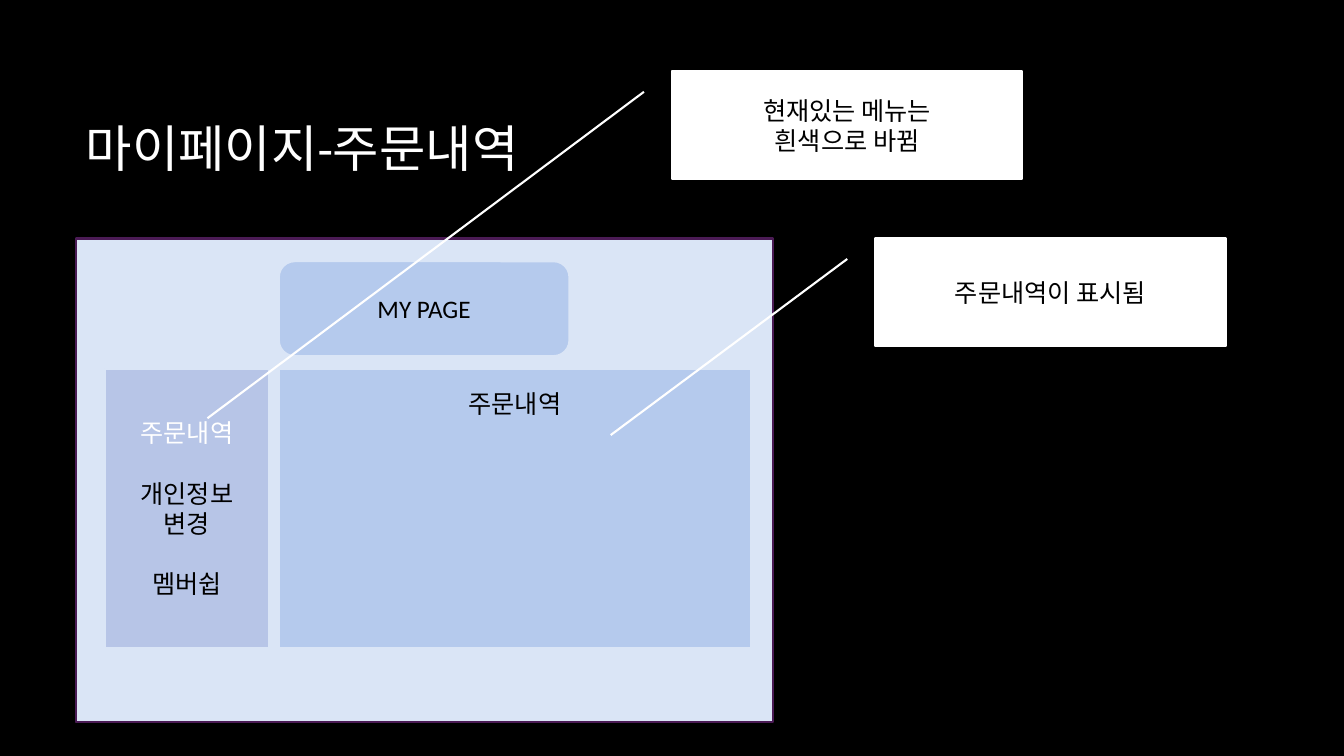
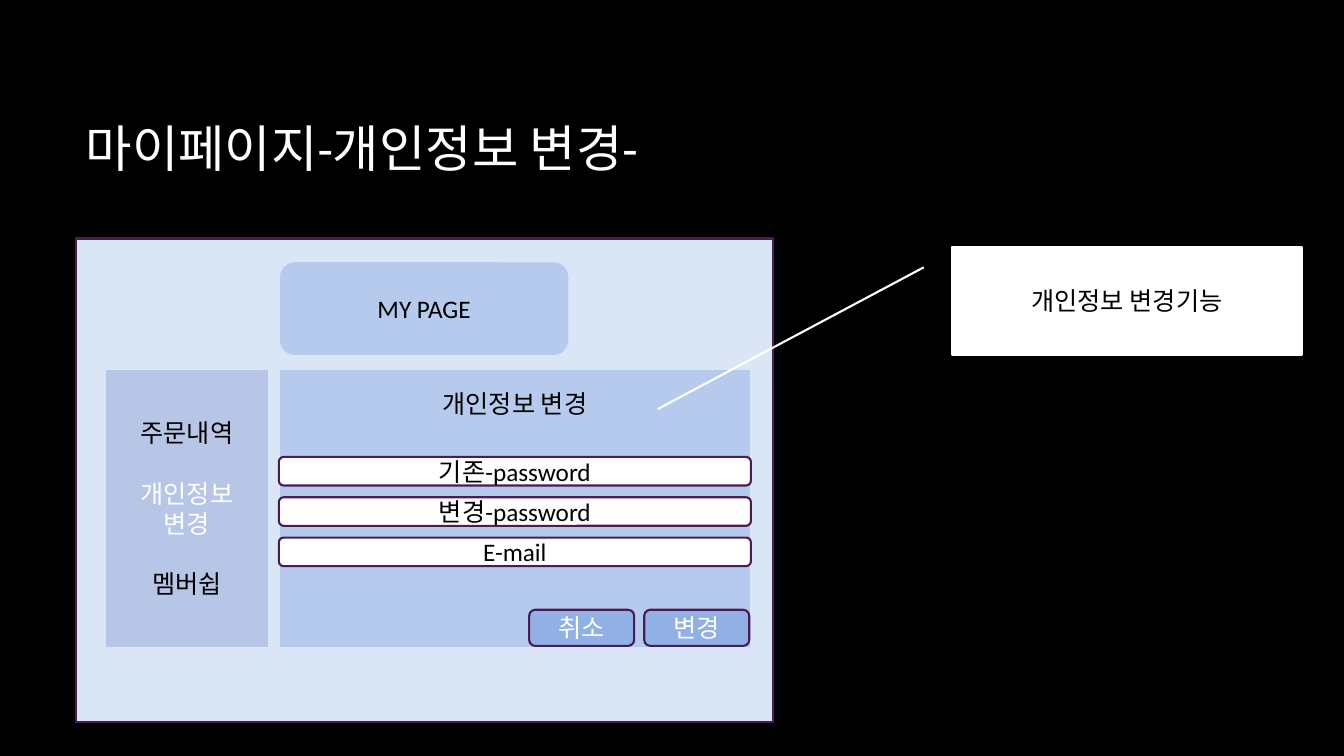
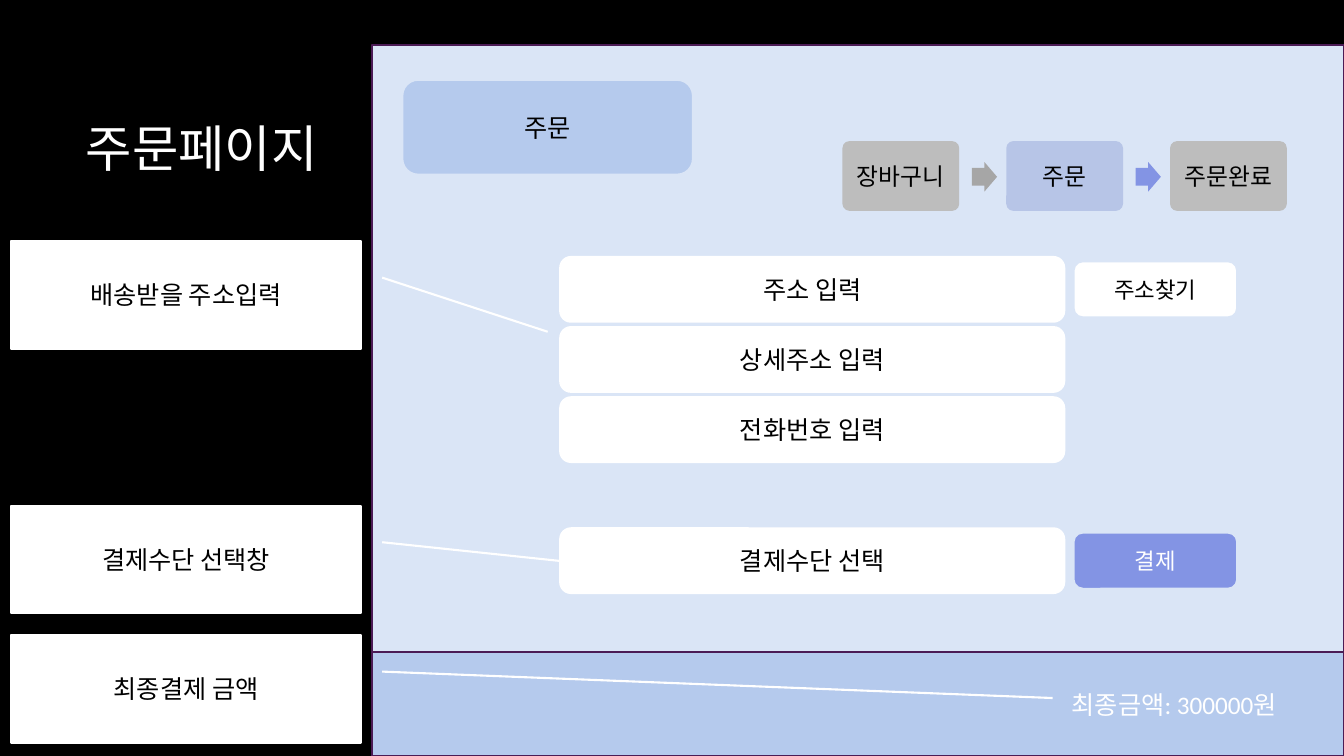
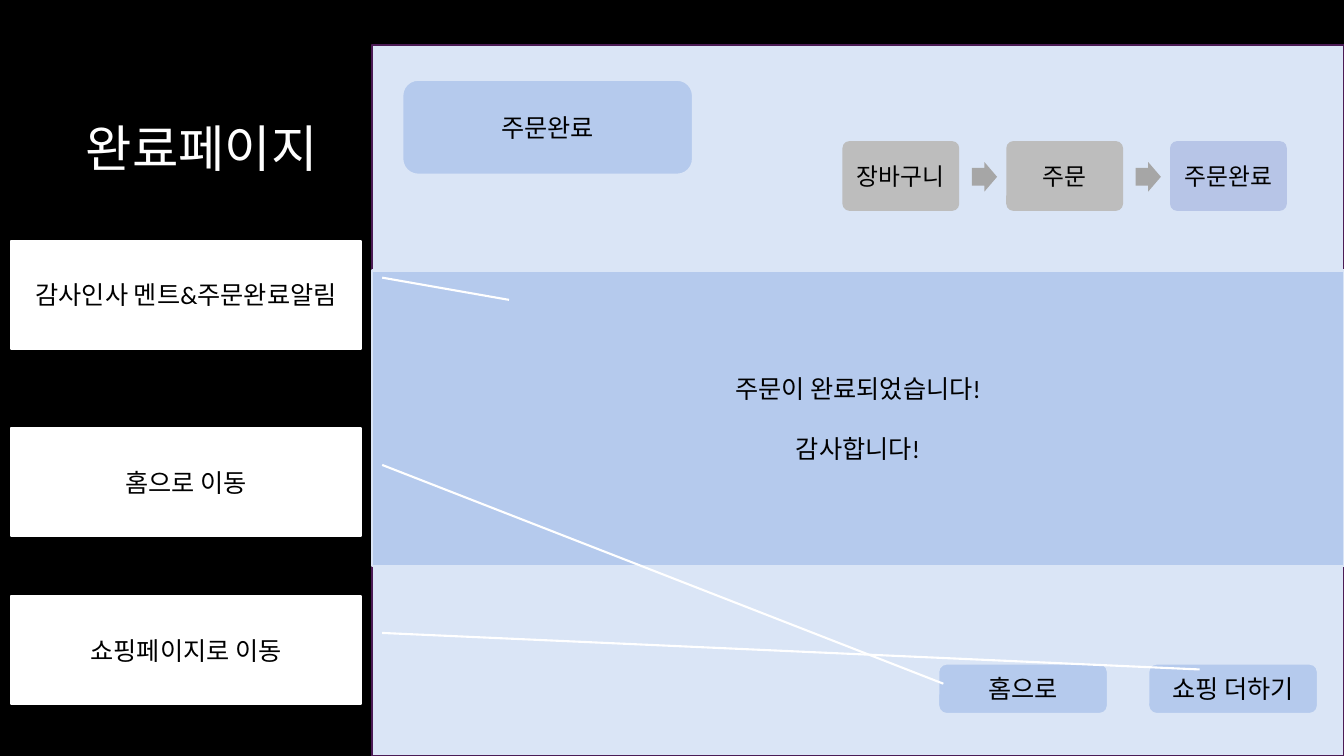
from dataclasses import dataclass

from pptx import Presentation
from pptx.dml.color import RGBColor
from pptx.enum.shapes import MSO_SHAPE
from pptx.enum.text import MSO_ANCHOR, PP_ALIGN
from pptx.util import Emu, Pt

RECT = MSO_SHAPE.RECTANGLE
ROUND = MSO_SHAPE.ROUNDED_RECTANGLE
ARROW = MSO_SHAPE.RIGHT_ARROW
CALLOUT = MSO_SHAPE.LINE_CALLOUT_1
LEFT, CENTER, RIGHT = PP_ALIGN.LEFT, PP_ALIGN.CENTER, PP_ALIGN.RIGHT
TOP, MIDDLE = MSO_ANCHOR.TOP, MSO_ANCHOR.MIDDLE

COLS, ROWS, CELL = 160, 90, 76200
TITLE_ONLY = 5
MENU = ("주문내역", "개인정보 변경", "멤버쉽")
STEPS = ("장바구니", "주문", "주문완료")


@dataclass(frozen=True)
class Theme:
    """Colours, font and type sizes of the deck."""
    font: str = "Calibri"
    back: str = "000000"
    ink: str = "000000"
    white: str = "FFFFFF"
    page: str = "DAE5F6"
    panel: str = "B5CAED"
    menu: str = "B7C5E7"
    button: str = "91B0E3"
    accent: str = "8394E4"
    border: str = "4B1B55"
    idle: str = "BDBDBD"
    arrow: str = "A6A6A6"
    title_size: int = 36
    body_size: int = 18
    step_size: int = 17
    small_size: int = 16
    blank_line: float = 21.6
    line_width: float = 1.5


def grid(*cells):
    """Turn grid cells into lengths."""
    return [Emu(round(c * CELL)) for c in cells]


def rgb(value):
    """Turn a hex string into a colour."""
    return RGBColor.from_string(value)


class Deck:
    """Holds the style and the current slide, and draws each kind of element."""

    def __init__(self, theme):
        """Start an empty wide deck on the theme's background."""
        self.t = theme
        self.prs = Presentation()
        self.prs.slide_width, self.prs.slide_height = grid(COLS, ROWS)
        fill = self.prs.slide_master.background.fill
        fill.solid()
        fill.fore_color.rgb = rgb(theme.back)
        self.s = None

    def style(self, p, size, color, align=CENTER):
        """Format one paragraph."""
        p.alignment = align
        p.font.name = self.t.font
        p.font.size = Pt(size)
        p.font.color.rgb = rgb(color)

    def slide(self, title):
        """Add a slide with its title."""
        self.s = self.prs.slides.add_slide(self.prs.slide_layouts[TITLE_ONLY])
        sp = self.s.shapes.title
        sp.left, sp.top, sp.width, sp.height = grid(9, 8, 133, 19.1)
        tf = sp.text_frame
        tf.text = title
        tf.vertical_anchor = MIDDLE
        self.style(tf.paragraphs[0], self.t.title_size, self.t.white, LEFT)

    def box(self, kind, place, fill, line=None, lines=(), size=None,
            color=None, active=None, gap=0, align=CENTER):
        """Draw a preset shape with centred lines of text, the active one white."""
        sp = self.s.shapes.add_shape(kind, *grid(*place))
        sp.shadow.inherit = False
        sp.fill.solid()
        sp.fill.fore_color.rgb = rgb(fill)
        if line:
            sp.line.color.rgb = rgb(line)
            sp.line.width = Pt(self.t.line_width)
        else:
            sp.line.fill.background()
        tf = sp.text_frame
        for i, text in enumerate(lines):
            p = tf.add_paragraph() if i else tf.paragraphs[0]
            p.text = text
            p.space_before = Pt(gap if i else 0)
            tone = self.t.white if text == active else color or self.t.ink
            self.style(p, size or self.t.body_size, tone, align)
        return sp

    def page(self, x, y, w, h):
        """Draw the mocked-up page."""
        self.box(RECT, (x, y, w, h), self.t.page, self.t.border)

    def heading(self, x, y, text):
        """Draw the heading box of a page."""
        self.box(ROUND, (x, y, 34.6, 11.3), self.t.panel, self.t.page, [text])

    def callout(self, x, y, lines, target, left=False):
        """Draw a note whose line leads from its left or right to the target."""
        w, h = 41.7, 12.8
        sp = self.box(CALLOUT, (x, y, w, h), self.t.white, self.t.white, lines)
        start = (0.19, -0.08) if left else (0.34, 1.06)
        tx, ty = target
        for i, value in enumerate((*start, (ty - y) / h, (tx - x) / w)):
            sp.adjustments[i] = value

    def my_page(self, title, active):
        """Draw a My Page slide with its side menu and content panel."""
        t = self.t
        self.slide(title)
        self.page(9, 28.4, 83, 57.6)
        self.heading(33.2, 31.1, "MY PAGE")
        self.box(RECT, (12.5, 43.9, 19.5, 33.2), t.menu, t.page, MENU,
                 active=active, gap=t.blank_line)
        sp = self.box(RECT, (33.2, 43.9, 56.2, 33.2), t.panel, t.page, [active])
        sp.text_frame.vertical_anchor = TOP
        sp.text_frame.margin_top, = grid(2.3)

    def order_page(self, title, current, arrows):
        """Draw an order slide with its heading and progress steps."""
        t = self.t
        self.slide(title)
        self.page(44.3, 5.4, 115.7, 84.6)
        self.heading(47.9, 9.5, current)
        for i, step in enumerate(STEPS):
            x = 100.3 + 19.5 * i
            sp = self.box(ROUND, (x, 16.8, 13.9, 8.3),
                          t.menu if step == current else t.idle,
                          lines=[step], size=t.step_size)
            sp.adjustments[0] = 0.1
            tf = sp.text_frame
            tf.margin_left, tf.margin_right = grid(0.84, 0.84)
            if i < len(arrows):
                sp = self.box(ARROW, (x + 15.4, 19.3, 3, 3.5), arrows[i])
                sp.adjustments[0] = 0.6

    def field(self, y, text):
        """Draw a wide input field."""
        self.box(ROUND, (66.7, y, 60, 7.7), self.t.white, self.t.white, [text])

    def small_button(self, y, text, fill, color):
        """Draw the button beside an input field."""
        self.box(ROUND, (127.8, y, 19.5, 6.7), fill, self.t.page, [text],
                 self.t.small_size, color)


def main():
    """Build the four slides."""
    t = Theme()
    d = Deck(t)

    d.my_page("마이페이지-주문내역", MENU[0])
    d.callout(104.2, 28.4, ["주문내역이 표시됨"], (72.7, 51.8), left=True)
    d.callout(80, 8.5, ["현재있는 메뉴는", "흰색으로 바뀜"], (24.7, 49.8), left=True)

    d.my_page("마이페이지-개인정보 변경-", MENU[1])
    for i, text in enumerate(("기존-password", "변경-password", "E-mail")):
        d.box(ROUND, (33.2, 54.4 + 4.8 * i, 56.2, 3.4), t.white, t.border, [text])
    for i, text in enumerate(("취소", "변경")):
        d.box(ROUND, (63 + 13.7 * i, 72.6, 12.5, 4.3), t.button, t.border,
              [text], color=t.white)
    d.callout(113.3, 29.4, ["개인정보 변경기능"], (78.3, 48.7), left=True)

    d.order_page("주문페이지", STEPS[1], (t.arrow, t.accent))
    for i, text in enumerate(("주소 입력", "상세주소 입력", "전화번호 입력")):
        d.field(30.6 + 8.35 * i, text)
    d.field(62.9, "결제수단 선택")
    d.small_button(31.1, "주소찾기", t.white, t.ink)
    d.small_button(63.4, "결제", t.accent, t.white)
    sp = d.box(RECT, (44.3, 77.6, 115.7, 12.4), t.panel, t.border,
               ["최종금액: 300000원"], color=t.white, align=RIGHT)
    sp.text_frame.margin_right, = grid(8)
    for y, text, target in ((28.7, "배송받을 주소입력", (65.2, 39.5)),
                            (60.2, "결제수단 선택창", (66.8, 66.8)),
                            (75.6, "최종결제 금액", (125.3, 83.1))):
        d.callout(1.3, y, [text], target)

    d.order_page("완료페이지", STEPS[2], (t.arrow, t.arrow))
    d.box(RECT, (44.3, 32.2, 115.7, 35.2), t.panel, t.page,
          ["주문이 완료되었습니다!", "감사합니다!"], gap=t.blank_line)
    for i, text in enumerate(("홈으로", "쇼핑 더하기")):
        d.box(ROUND, (111.7 + 25 * i, 79, 20.2, 6), t.panel, t.page, [text])
    for y, text, target in ((28.7, "감사인사 멘트&주문완료알림", (60.6, 35.7)),
                            (51, "홈으로 이동", (112.3, 81.4)),
                            (71, "쇼핑페이지로 이동", (142.8, 79.7))):
        d.callout(1.3, y, [text], target)

    d.prs.save("out.pptx")


if __name__ == "__main__":
    main()
